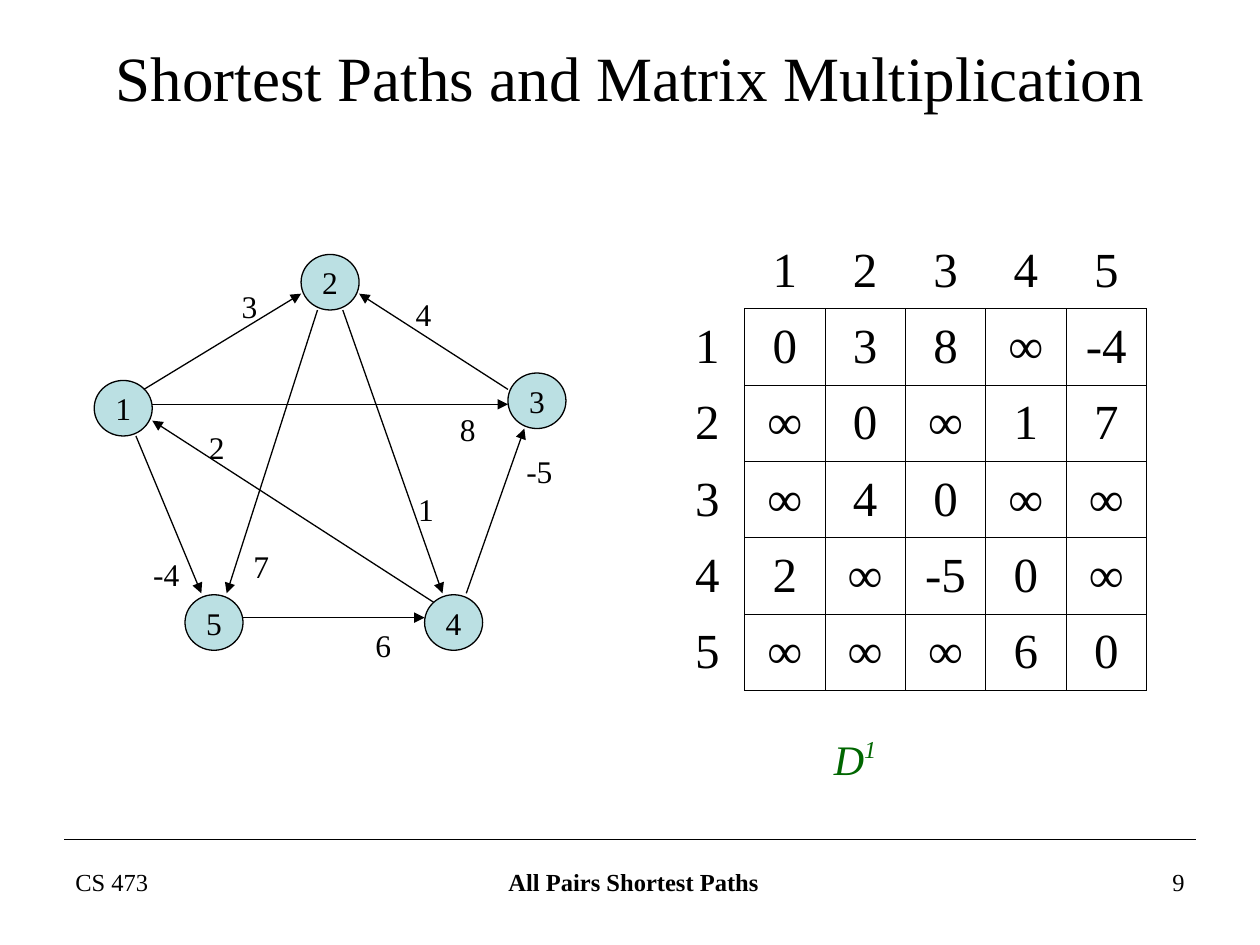
from lxml.etree import SubElement
from pptx import Presentation
from pptx.dml.color import RGBColor
from pptx.enum.shapes import MSO_CONNECTOR as CONN, MSO_SHAPE as SHAPE
from pptx.enum.text import MSO_ANCHOR as ANCHOR, PP_ALIGN as ALIGN
from pptx.oxml.ns import qn
from pptx.util import Cm, Pt

BLACK = "000000"


def style(obj, text, size, align=ALIGN.LEFT, color=BLACK):
    """Write one paragraph into a shape or cell and format it."""
    tf = obj.text_frame
    tf.text = text
    p = tf.paragraphs[0]
    p.alignment = align
    for r in p.runs:
        r.font.size, r.font.name = Pt(size), "Times New Roman"
        r.font.color.rgb = RGBColor.from_string(color)
    return p


def add_line(shapes, x1, y1, x2, y2, arrow=False):
    sp = shapes.add_connector(CONN.STRAIGHT, Cm(x1), Cm(y1), Cm(x2), Cm(y2))
    sp.line.color.rgb = RGBColor.from_string(BLACK)
    sp.line.width = Pt(0.75)
    if arrow:
        SubElement(sp.line._get_or_add_ln(), qn("a:tailEnd"), type="triangle")
    SubElement(sp._element.spPr, qn("a:effectLst"))


prs = Presentation()
prs.slide_width, prs.slide_height = Cm(25.4), Cm(19.05)
s = prs.slides.add_slide(prs.slide_layouts[6])

# Footer: rule and three texts
add_line(s.shapes, 1.3, 16.92, 24.1, 16.92)
for x, w, text, align in [
    (1.27, 5.92, "CS 473", ALIGN.LEFT),
    (8.75, 8.05, "All Pairs Shortest Paths", ALIGN.CENTER),
    (18.21, 5.92, "9", ALIGN.RIGHT),
]:
    sp = s.shapes.add_textbox(Cm(x), Cm(17.35), Cm(w), Cm(1.32))
    sp.text_frame.word_wrap = True
    p = style(sp, text, 14, align)
    p.runs[0].font.bold = align == ALIGN.CENTER

# Title
sp = s.shapes.add_textbox(Cm(1.01), Cm(0.76), Cm(23.39), Cm(1.55))
sp.text_frame.word_wrap = True
sp.text_frame.vertical_anchor = ANCHOR.MIDDLE
style(sp, "Shortest Paths and Matrix Multiplication", 36, ALIGN.CENTER)

# Distance matrix
matrix = [
    ["", "1", "2", "3", "4", "5"],
    ["1", "0", "3", "8", "∞", "-4"],
    ["2", "∞", "0", "∞", "1", "7"],
    ["3", "∞", "4", "0", "∞", "∞"],
    ["4", "2", "∞", "-5", "0", "∞"],
    ["5", "∞", "∞", "∞", "6", "0"],
]
table = s.shapes.add_table(6, 6, Cm(13.51), Cm(4.72), Cm(9.6), Cm(9.2)).table
table.first_row = table.horz_banding = False
for i in range(6):
    table.columns[i].width = Cm(1.62 if i else 1.5)
    table.rows[i].height = Cm(1.54 if i else 1.5)
for i, row in enumerate(matrix):
    for j, text in enumerate(row):
        cell = table.cell(i, j)
        cell.vertical_anchor = ANCHOR.MIDDLE
        style(cell, text, 28, ALIGN.CENTER)
        # Only the edges of the inner 5 x 5 grid are drawn
        inner = i > 0 and j > 0
        edges = {"lnL": inner, "lnR": i > 0, "lnT": inner, "lnB": j > 0}
        tcPr = cell._tc.get_or_add_tcPr()
        for edge, drawn in edges.items():
            ln = SubElement(tcPr, qn("a:" + edge), w=str(Pt(0.45)))
            if drawn:
                fill = SubElement(ln, qn("a:solidFill"))
                SubElement(fill, qn("a:srgbClr"), val=BLACK)
            else:
                SubElement(ln, qn("a:noFill"))
        cell.fill.background()

# Matrix name with superscript
sp = s.shapes.add_textbox(Cm(16.56), Cm(14.66), Cm(1.57), Cm(1.27))
p = style(sp, "D", 24, color="006600")
r = p.add_run()
r.text = "1"
r.font.size, r.font.name = Pt(24), "Times New Roman"
r.font.color.rgb = RGBColor.from_string("006600")
r._r.get_or_add_rPr().set("baseline", "40000")
for r in p.runs:
    r.font.italic = True

# Graph nodes
graph = s.shapes.add_group_shape().shapes
nodes = [(1.9, 7.67), (6.07, 5.13), (10.24, 7.52), (8.56, 11.99), (3.73, 11.99)]
for n, (x, y) in enumerate(nodes, 1):
    sp = graph.add_shape(SHAPE.OVAL, Cm(x), Cm(y), Cm(1.17), Cm(1.12))
    sp.shadow.inherit = False
    sp.fill.solid()
    sp.fill.fore_color.rgb = RGBColor.from_string("BBE0E3")
    sp.line.color.rgb = RGBColor.from_string(BLACK)
    sp.line.width = Pt(0.75)
    sp.text_frame.word_wrap = False
    sp.text_frame.vertical_anchor = ANCHOR.MIDDLE
    style(sp, str(n), 18, ALIGN.CENTER)

# Graph edges: start, end, weight, weight position
edges = [
    (2.9, 7.85, 6.07, 5.92, "3", 4.62, 5.66),
    (10.24, 7.85, 7.24, 5.92, "4", 8.13, 5.82),
    (9.4, 11.96, 10.57, 8.64, "-5", 10.36, 8.99),
    (4.9, 12.45, 8.56, 12.45, "6", 7.32, 12.5),
    (2.74, 8.79, 4.06, 11.96, "-4", 2.84, 11.07),
    (6.4, 6.25, 4.57, 11.96, "7", 4.86, 10.9),
    (6.91, 6.25, 8.92, 11.96, "1", 8.18, 9.75),
    (8.74, 12.14, 3.07, 8.48, "2", 3.96, 8.51),
    (3.07, 8.15, 10.24, 8.15, "8", 9.02, 8.15),
]
for x1, y1, x2, y2, weight, x, y in edges:
    add_line(graph, x1, y1, x2, y2, arrow=True)
    w = 0.81 if len(weight) == 1 else 1.04
    sp = graph.add_textbox(Cm(x), Cm(y), Cm(w), Cm(1.02))
    sp.text_frame.word_wrap = False
    style(sp, weight, 18)

prs.save("out.pptx")
